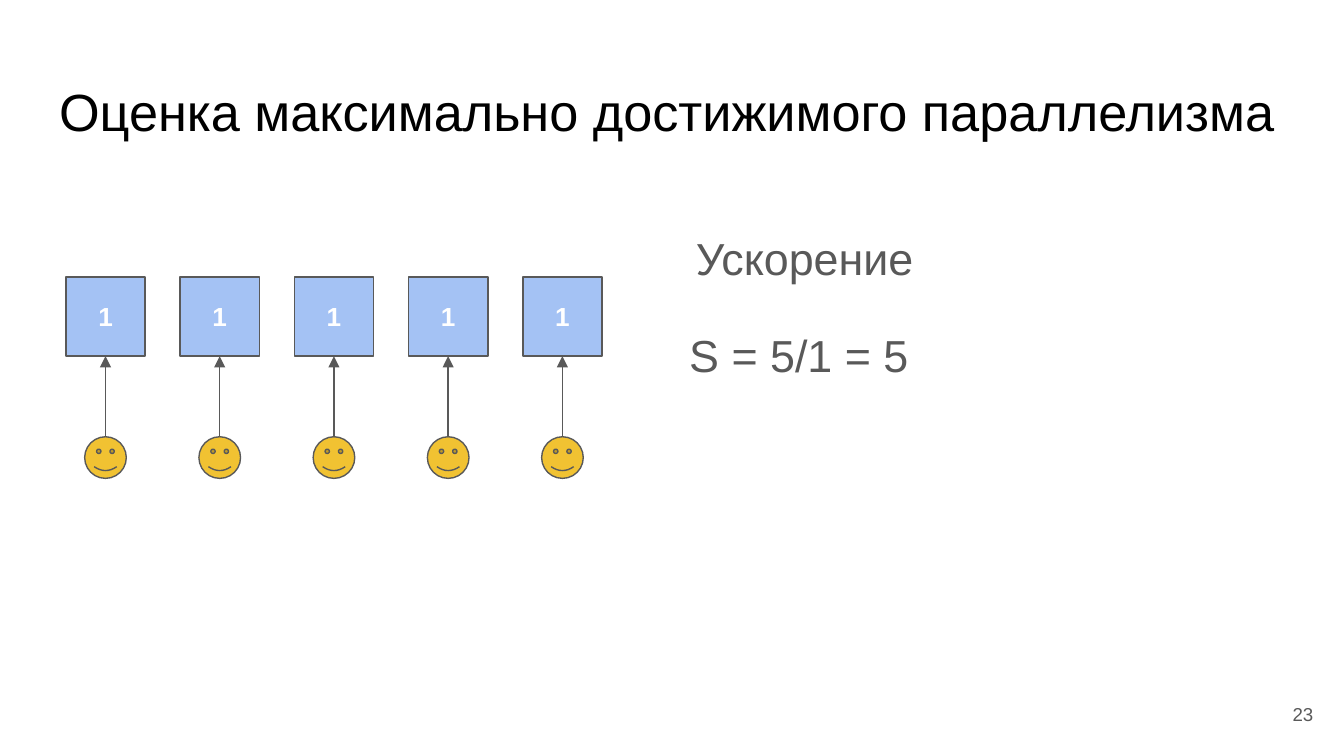
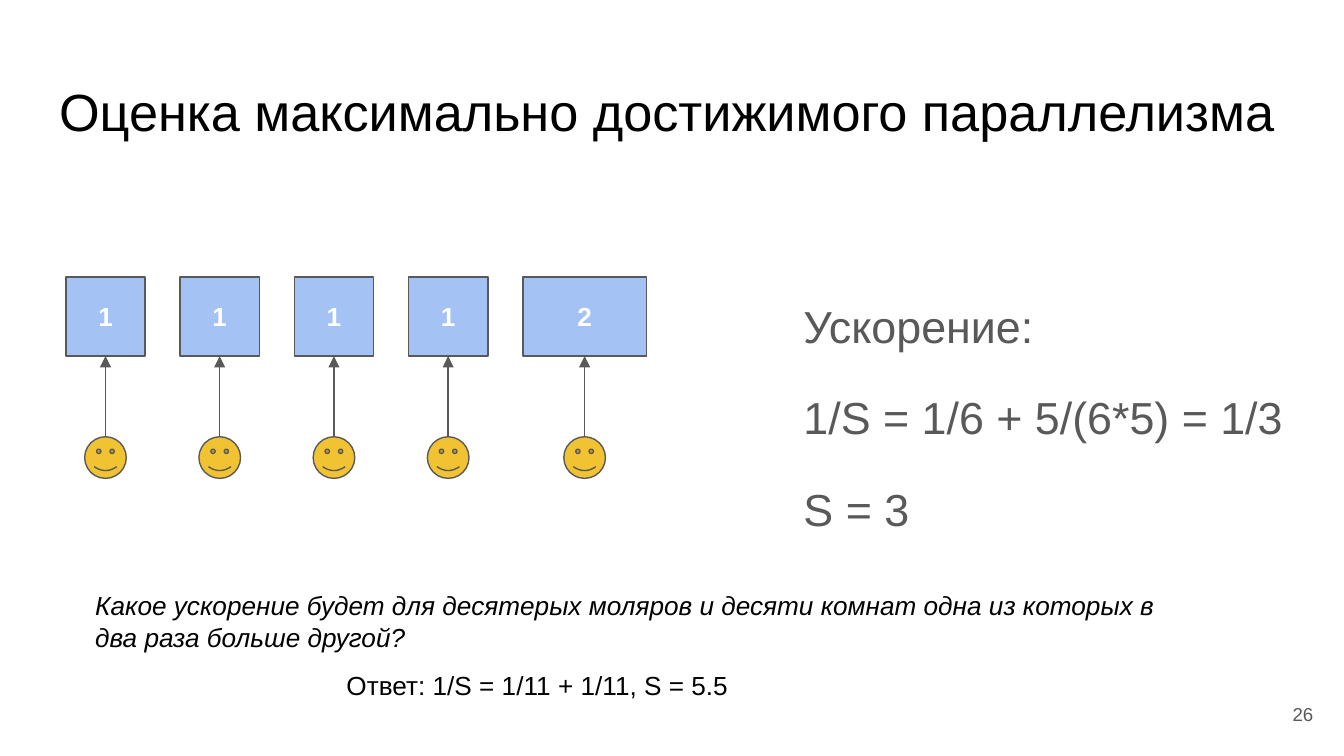
from dataclasses import dataclass

from lxml import etree
from pptx import Presentation
from pptx import util as u
from pptx.dml.color import RGBColor
from pptx.enum import shapes, text
from pptx.oxml.ns import qn


@dataclass(frozen=True)
class Theme:
    """Colours, type sizes and the square grid cell (100 columns per slide)."""
    font: str = "Arial"
    black: str = "000000"
    grey: str = "595959"
    white: str = "FFFFFF"
    room: str = "A4C2F4"
    face: str = "F1C232"
    title: float = 28
    formula: float = 24
    label: float = 14
    number: float = 10
    line: float = 0.75
    cell: int = u.Inches(0.1)


T = Theme()
TITLE = "Оценка максимально достижимого параллелизма"
PAINTERS_BOX = (4.9, 20.6, 43.2, 15)


def grid(*cells):
    """Convert grid cells to slide lengths."""
    return [round(c * T.cell) for c in cells]


def write(sp, lines, size, color, align=text.PP_ALIGN.LEFT,
          anchor=text.MSO_ANCHOR.TOP, pad=1, spacing=1, before=0,
          bold=False, italic=False):
    """Fill a shape with equally styled paragraphs; before separates them."""
    tf = sp.text_frame
    tf.word_wrap = True
    tf.auto_size = text.MSO_AUTO_SIZE.NONE
    tf.vertical_anchor = anchor
    tf.margin_left = tf.margin_right = T.cell
    tf.margin_top = tf.margin_bottom = round(pad * T.cell)
    tf.text = "\n".join(lines)
    for i, p in enumerate(tf.paragraphs):
        p.alignment, p.line_spacing = align, spacing
        p.space_before = u.Pt(before if i else 0)
        p.font.name, p.font.size = T.font, u.Pt(size)
        p.font.bold, p.font.italic = bold, italic
        p.font.color.rgb = RGBColor.from_string(color)


def add_text(s, box, lines, size, color, **style):
    """Add a text box in the given grid box."""
    write(s.shapes.add_textbox(*grid(*box)), lines, size, color, **style)


def add_outlined(s, kind, box, fill):
    """Add a filled preset shape with the common thin outline."""
    sp = s.shapes.add_shape(kind, *grid(*box))
    sp.shadow.inherit = False
    sp.fill.solid()
    sp.fill.fore_color.rgb = RGBColor.from_string(fill)
    sp.line.color.rgb = RGBColor.from_string(T.grey)
    sp.line.width = u.Pt(T.line)
    return sp


def add_arrow(s, face, room):
    """Join the top of a face to the bottom of its room."""
    c = s.shapes.add_connector(shapes.MSO_CONNECTOR.STRAIGHT, 0, 0, 0, 0)
    c.begin_connect(face, 0)
    c.end_connect(room, 2)
    c.line.color.rgb = RGBColor.from_string(T.grey)
    c.line.width = u.Pt(T.line)
    etree.SubElement(c.line._get_or_add_ln(), qn("a:tailEnd"), type="triangle")
    etree.SubElement(c._element.spPr, qn("a:effectLst"))


def add_painters(s, box, rooms, side=5.9, gap=2.6, face_size=3.1, growth=3.3):
    """Draw rooms along the top of the box, each with a painter below."""
    x, top, _, height = box
    for size in rooms:
        width = side + growth * (size - 1)
        room = add_outlined(s, shapes.MSO_SHAPE.RECTANGLE,
                            (x, top, width, side), T.room)
        write(room, [str(size)], T.label, T.white, text.PP_ALIGN.CENTER,
              text.MSO_ANCHOR.MIDDLE, bold=True)
        face = add_outlined(s, shapes.MSO_SHAPE.SMILEY_FACE,
                            (x + (width - face_size) / 2,
                             top + height - face_size,
                             face_size, face_size), T.face)
        add_arrow(s, face, room)
        x += width + gap


def add_slide(prs, number, rooms):
    """Add a titled, numbered slide with its row of painters."""
    s = prs.slides.add_slide(prs.slide_layouts[5])
    title = s.shapes.title
    title.left, title.top, title.width, title.height = grid(3.4, 4.9, 93.2, 6.3)
    write(title, [TITLE], T.title, T.black)
    add_painters(s, PAINTERS_BOX, rooms)
    add_text(s, (92.7, 51, 6, 4.3), [str(number)], T.number, T.grey,
             align=text.PP_ALIGN.RIGHT, anchor=text.MSO_ANCHOR.MIDDLE)
    return s


def equal_rooms(prs):
    """Build the slide with five equal rooms."""
    s = add_slide(prs, 23, [1] * 5)
    add_text(s, (50.8, 16.1, 23.8, 5.3), ["Ускорение"], T.formula, T.grey,
             pad=0.5, spacing=1.15)
    add_text(s, (50.3, 22.8, 46.5, 11.9), ["S = 5/1 = 5"], T.formula, T.grey,
             spacing=1.15)


def larger_room(prs):
    """Build the slide where the last room is twice as large."""
    s = add_slide(prs, 26, [1] * 4 + [2])
    add_text(s, (58.8, 20.6, 38.2, 20.9),
             ["Ускорение:", "1/S = 1/6 + 5/(6*5) = 1/3", "S = 3"],
             T.formula, T.grey, spacing=1.15, before=16)
    add_text(s, (6.1, 43.4, 83.9, 5.7),
             ["Какое ускорение будет для десятерых моляров и десяти комнат "
              "одна из которых в два раза больше другой?"],
             T.label, T.black, pad=0.5, italic=True)
    add_text(s, (24.8, 49.3, 50.4, 5.7),
             ["Ответ: 1/S = 1/11 + 1/11, S = 5.5"],
             T.label, T.black, pad=0.5)


def main():
    """Build and save the presentation."""
    prs = Presentation()
    prs.slide_width, prs.slide_height = grid(100, 56.25)
    equal_rooms(prs)
    larger_room(prs)
    prs.save("out.pptx")


if __name__ == "__main__":
    main()
